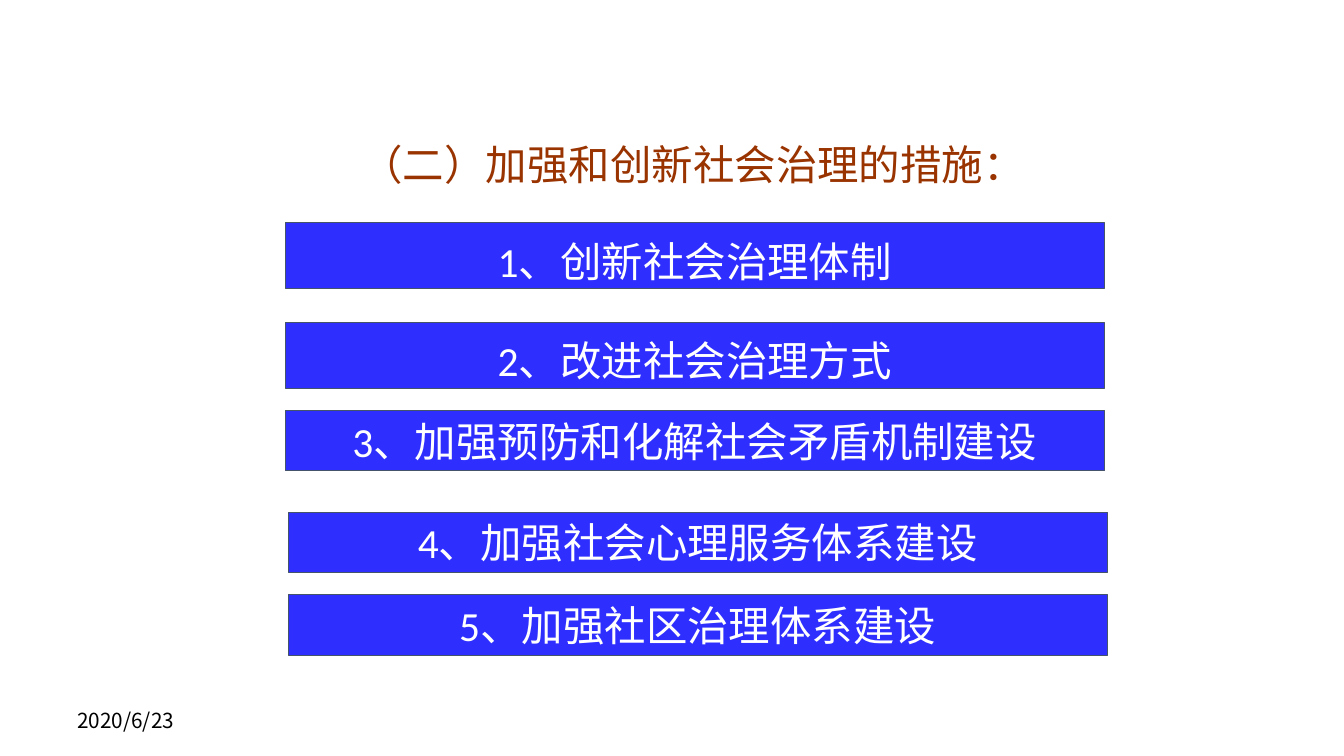
from lxml.etree import SubElement
from pptx import Presentation
from pptx.dml.color import RGBColor
from pptx.enum.shapes import MSO_SHAPE
from pptx.enum.text import MSO_ANCHOR, PP_ALIGN
from pptx.oxml.ns import qn
from pptx.util import Inches, Pt

CELL = Inches(0.1)  # side of one grid cell
COLUMNS, ROWS = 133.33, 75
CJK_FONT = "Noto Sans CJK SC"
BAR_COLUMNS = 81.3

# text, left column, top row, height in rows, line spacing
MEASURES = [
    ("1、创新社会治理体制", 28.3, 22.1, 6.5, 1.2),
    ("2、改进社会治理方式", 28.3, 32, 6.5, 1.2),
    ("3、加强预防和化解社会矛盾机制建设", 28.3, 40.7, 6, 1),
    ("4、加强社会心理服务体系建设", 28.6, 50.8, 6, 1),
    ("5、加强社区治理体系建设", 28.6, 59, 6, 1),
]


def color(hex_string):
    return RGBColor.from_string(hex_string)


def grid(*cells):
    return [int(cell * CELL) for cell in cells]


def write(shape, text, size=29.6, ink="000000", font=CJK_FONT,
          align=PP_ALIGN.LEFT, spacing=1):
    frame = shape.text_frame
    frame.word_wrap = True
    frame.vertical_anchor = MSO_ANCHOR.MIDDLE
    frame.margin_top = frame.margin_bottom = 0
    para = frame.paragraphs[0]
    para.alignment = align
    para.line_spacing = spacing
    span = para.add_run()
    span.text = text
    span.font.size = Pt(size)
    span.font.color.rgb = color(ink)
    span.font.name = font
    SubElement(span.font._element, qn("a:ea"), typeface=CJK_FONT)


def add_label(page, text, left, top, width, height, **text_format):
    box = page.shapes.add_textbox(*grid(left, top, width, height))
    write(box, text, **text_format)


def add_bar(page, text, left, top, height, spacing):
    bar = page.shapes.add_shape(
        MSO_SHAPE.RECTANGLE, *grid(left, top, BAR_COLUMNS, height))
    bar.shadow.inherit = False
    bar.fill.solid()
    bar.fill.fore_color.rgb = color("0000FF")
    fill_color = bar.fill._xPr.find(qn("a:solidFill"))[0]
    SubElement(fill_color, qn("a:alpha"), val="82000")
    bar.line.color.rgb = color("44546A")
    bar.line.width = Pt(0.75)
    write(bar, text, ink="FFFFFF", font="Calibri",
          align=PP_ALIGN.CENTER, spacing=spacing)


def main():
    deck = Presentation()
    deck.slide_width, deck.slide_height = grid(COLUMNS, ROWS)
    page = deck.slides.add_slide(deck.slide_layouts[6])
    add_label(page, "2020/6/23", 6.7, 69.5, 31.1, 4, size=14.8)
    add_label(page, "（二）加强和创新社会治理的措施：", 4.3, 13.3, 129, 6,
              ink="993300", align=PP_ALIGN.CENTER)
    for measure in MEASURES:
        add_bar(page, *measure)
    deck.save("out.pptx")


if __name__ == "__main__":
    main()
